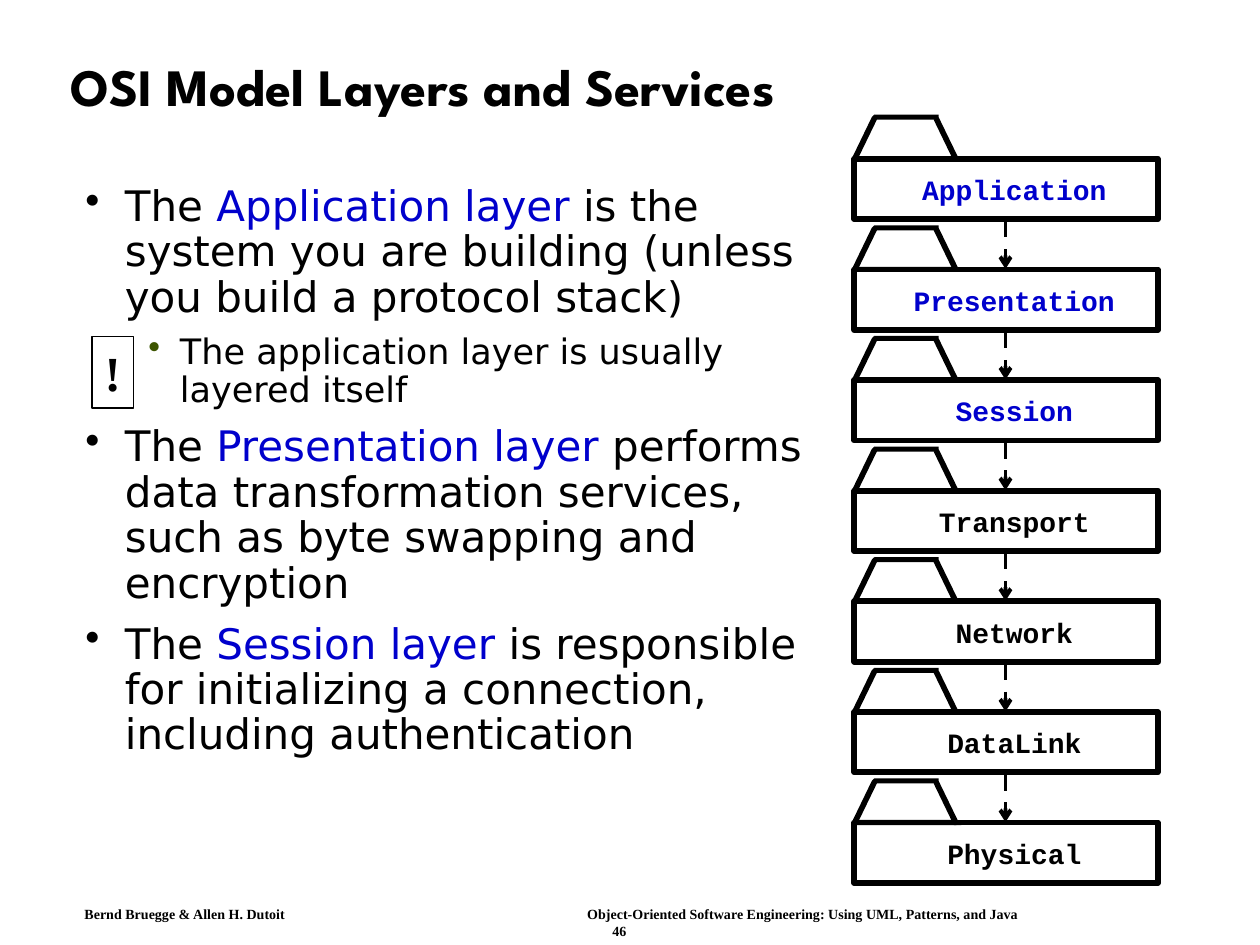
from lxml import etree
from pptx import Presentation
from pptx.dml.color import RGBColor
from pptx.enum.dml import MSO_LINE
from pptx.enum.shapes import MSO_CONNECTOR, MSO_SHAPE
from pptx.enum.text import MSO_ANCHOR, PP_ALIGN
from pptx.oxml.ns import qn
from pptx.util import Inches, Pt

RECT = MSO_SHAPE.RECTANGLE
LINE = MSO_CONNECTOR.STRAIGHT
DASH = MSO_LINE.DASH
MID = MSO_ANCHOR.MIDDLE
LEFT, CENTER = PP_ALIGN.LEFT, PP_ALIGN.CENTER
HUES = {"ink": "000000", "key": "0000CC", "dot": "3D5500"}

deck = Presentation()
deck.slide_width, deck.slide_height = Inches(10), Inches(7.5)
col, row = deck.slide_width / 100, deck.slide_height / 75
slide = deck.slides.add_slide(deck.slide_layouts[6])
shapes = slide.shapes


def frame(x, y, w, h, side=1, top=0.5, wrap=True):
    box = shapes.add_textbox(int(x * col), int(y * row), int(w * col), int(h * row))
    text = box.text_frame
    text.word_wrap = wrap
    text.margin_left = text.margin_right = int(side * col)
    text.margin_top = text.margin_bottom = int(top * row)
    return text


def write(para, text, size, font, hue="ink", bold=True):
    run = para.add_run()
    run.text = text
    run.font.size, run.font.name, run.font.bold = Pt(size), font, bold
    run.font.color.rgb = RGBColor.from_string(HUES[hue])


foot = frame(5.9, 71.5, 86.5, 3.2, 0.8, 0.4)
line = foot.paragraphs[0]
line.alignment = LEFT
stops = etree.SubElement(line._p.get_or_add_pPr(), qn("a:tabLst"))
etree.SubElement(stops, qn("a:tab"), pos=str(int(39.9 * col)), algn="l")
write(line, "Bernd Bruegge & Allen H. Dutoit\t", 8, "Times New Roman")
write(line, "Object-Oriented Software Engineering: Using UML, Patterns, and Java",
      8, "Times New Roman")
page = foot.add_paragraph()
page.alignment = CENTER
write(page, "46", 8, "Times New Roman")

head = frame(4.6, 2.4, 89.2, 9.4)
head.vertical_anchor = MID
head.paragraphs[0].line_spacing = 0.9
write(head.paragraphs[0], "OSI Model Layers and Services", 30, "League Spartan")

points = [
    (0, [("The ", "ink"), ("Application layer", "key"),
         (" is the system you are building (unless you build a protocol stack)", "ink")]),
    (1, [("The application layer is usually layered itself", "ink")]),
    (0, [("The ", "ink"), ("Presentation layer", "key"),
         (" performs data transformation services, such as byte swapping and encryption", "ink")]),
    (0, [("The ", "ink"), ("Session layer", "key"),
         (" is responsible for initializing a connection, including authentication", "ink")]),
]
levels = [(3.13, 3.13, 9, 24, "ink"), (7.5, 2.5, 7.5, 20, "dot")]
body = frame(5.8, 14.2, 62.2, 52.5)
for i, (level, parts) in enumerate(points):
    para = body.add_paragraph() if i else body.paragraphs[0]
    edge, hang, gap, size, hue = levels[level]
    para.level, para.line_spacing, para.space_before = level, 0.9, Pt(gap)
    props = para._p.get_or_add_pPr()
    props.set("marL", str(int(edge * col)))
    props.set("indent", str(int(-hang * col)))
    tint = etree.SubElement(props, qn("a:buClr"))
    etree.SubElement(tint, qn("a:srgbClr"), val=HUES[hue])
    etree.SubElement(props, qn("a:buChar"), char="•")
    for text, tone in parts:
        write(para, text, size, "DejaVu Sans", tone, False)

layers = ["Application", "Presentation", "Session", "Transport",
          "Network", "DataLink", "Physical"]
pitch = 8.78
strokes = [
    [(67.6, 3.5), (68, 3.7), (69.6, 0.4), (69.4, 0), (69.2, 0.2)],
    [(69.4, 0), (69.4, 0.4), (74.3, 0.4), (74.5, 0.2), (74.5, 0)],
    [(74.5, 0.2), (74.1, 0.4), (75.7, 3.7), (76.3, 3.7), (76.1, 3.5)],
    [(75.9, 3.7), (75.9, 3.3), (67.8, 3.3), (67.6, 3.5), (67.6, 3.7)],
]
ink = RGBColor.from_string(HUES["ink"])
boxes = [(67.8, 12.6 + i * pitch, 24.1, 4.8, 3.25) for i in range(len(layers))]
boxes.append((7.3, 26.7, 3.3, 5.7, 1))
for x, y, w, h, thick in boxes:
    box = shapes.add_shape(RECT, int(x * col), int(y * row), int(w * col), int(h * row))
    box.shadow.inherit = False
    box.fill.background()
    box.line.color.rgb, box.line.width = ink, Pt(thick)

mark = box.text_frame
mark.word_wrap, mark.vertical_anchor = False, MID
mark.paragraphs[0].alignment = CENTER
write(mark.paragraphs[0], "!", 28, "Times New Roman")

for i, name in enumerate(layers):
    top = 9.1 + i * pitch
    for stroke in strokes:
        dots = [(x * col, (top + y) * row) for x, y in stroke]
        pen = shapes.build_freeform(*dots[0])
        pen.add_line_segments(dots[1:], close=True)
        edge = pen.convert_to_shape()
        edge.shadow.inherit = False
        edge.fill.solid()
        edge.fill.fore_color.rgb = ink
        edge.line.fill.background()

    wide = len(name) * 1.33
    label = frame(80.5 - wide / 2, top + 4.6, wide, 2.7, 0, 0, False)
    write(label.paragraphs[0], name, 16, "Courier New", "key" if i < 3 else "ink")

for i in range(len(layers) - 1):
    top = 17.6 + i * pitch
    link = shapes.add_connector(LINE, int(79.8 * col), int(top * row),
                                int(79.8 * col), int((top + 3.75) * row))
    link.line.color.rgb, link.line.width = ink, Pt(2.25)
    link.line.dash_style = DASH
    etree.SubElement(link.line._get_or_add_ln(), qn("a:tailEnd"), type="arrow")
    etree.SubElement(link._element.spPr, qn("a:effectLst"))

deck.save("out.pptx")
